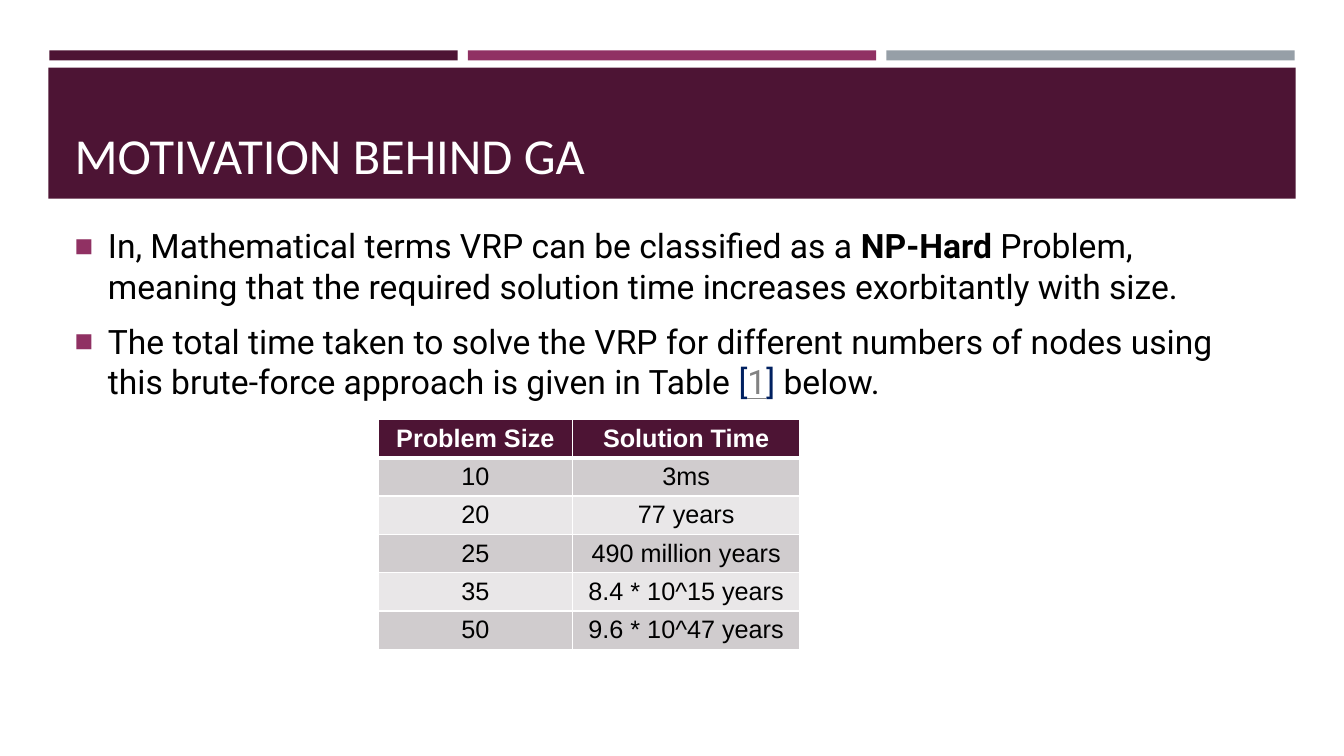
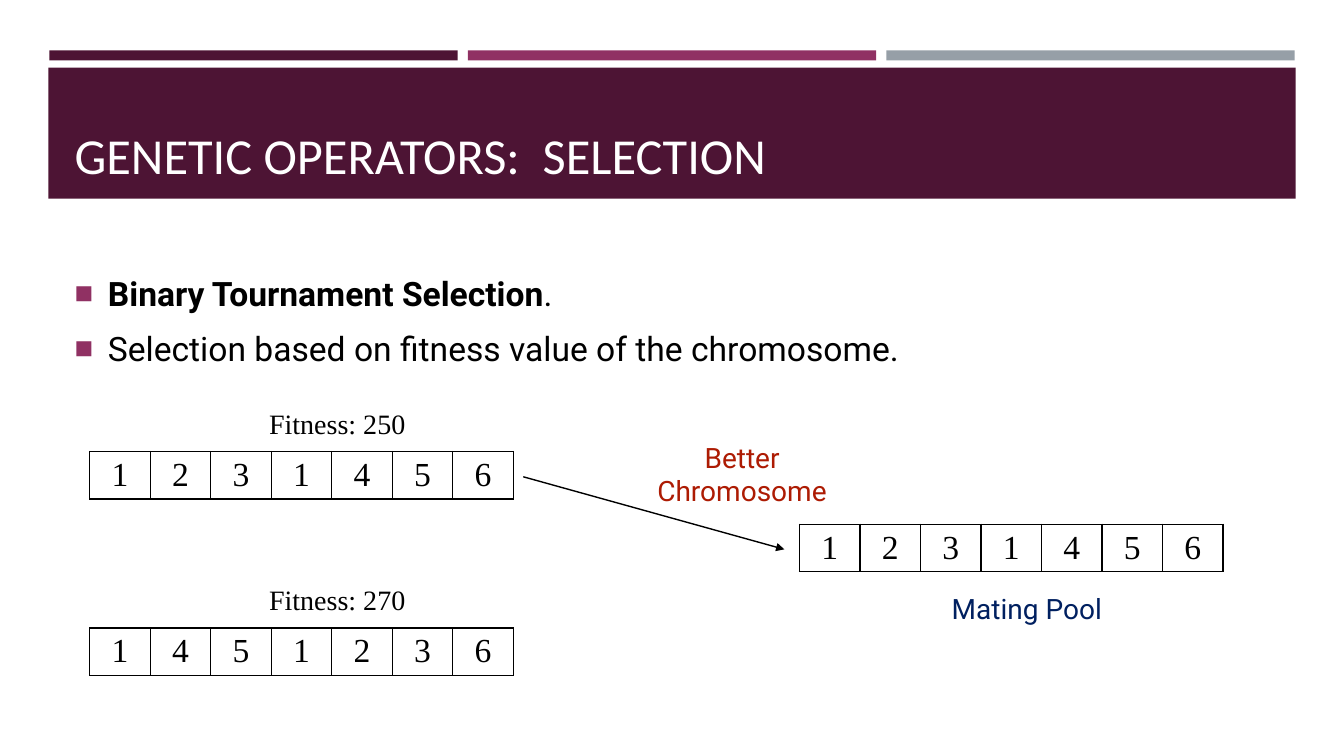
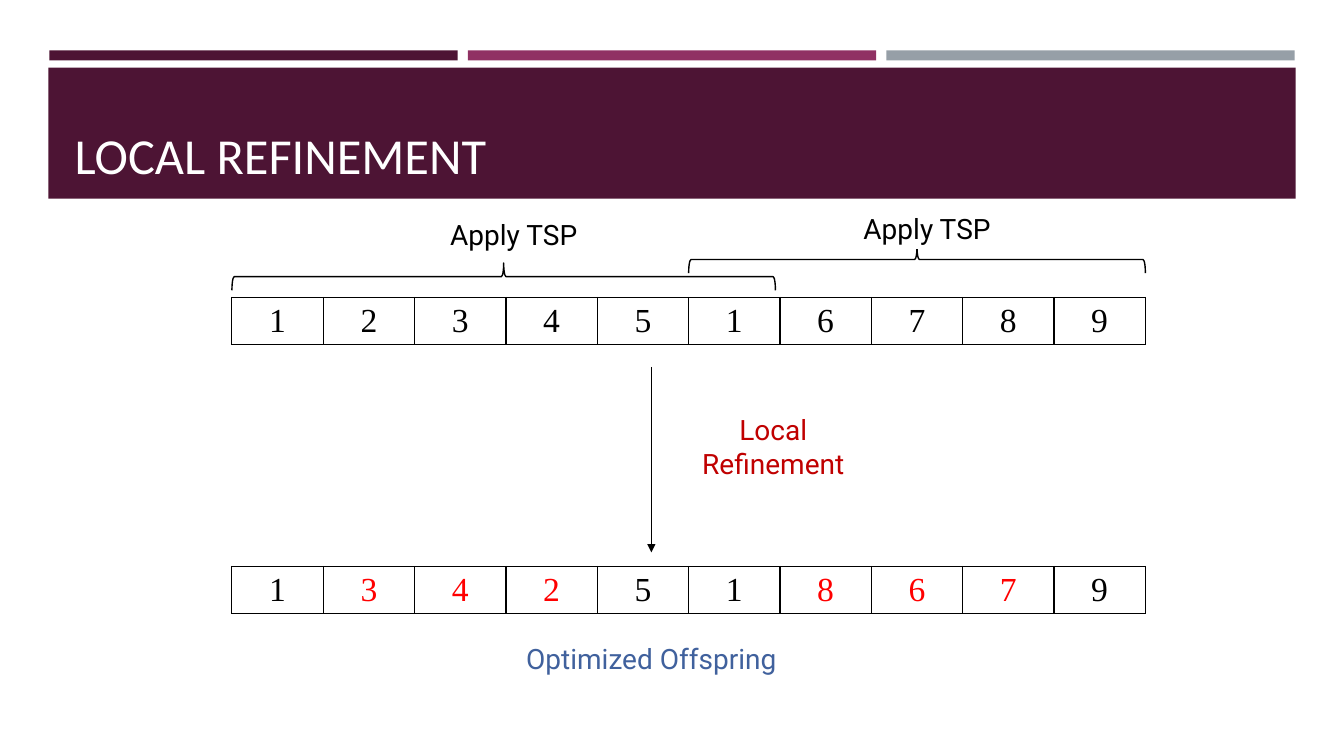
from dataclasses import dataclass
from typing import Optional, Sequence

from lxml import etree
from pptx import Presentation
from pptx import util as u
from pptx.dml.color import RGBColor
from pptx.enum import shapes, text
from pptx.oxml import ns

PLUM, MAGENTA, GREY = "4D1434", "903163", "969FA7"
BLACK, WHITE, NAVY, RED = "000000", "FFFFFF", "002060", "FF0000"
HEADING, BODY, TABLE, GENE = "Calibri", "Roboto", "Arial", "Times New Roman"

MARGIN, CONTENT_WIDTH = 0.64, 12.06
BAR_LEFT, BAR_WIDTH, BAR_GAP = 0.49, 4.05, 0.1
GENE_HEIGHT = 0.47
BRACE_DEPTH = 0.27
TITLE_AND_BODY, TITLE_ONLY = 1, 5


@dataclass(frozen=True)
class Box:
    left: float
    top: float
    width: float
    height: float

    def emu(self) -> tuple:
        return tuple(u.Inches(v) for v in (self.left, self.top, self.width, self.height))


@dataclass(frozen=True)
class Piece:
    """A stretch of text inside a bullet."""
    words: str
    bold: Optional[bool] = None
    color: Optional[str] = None
    underline: Optional[bool] = None


@dataclass(frozen=True)
class Label:
    words: str
    box: Box
    color: str = BLACK
    font: str = BODY


@dataclass(frozen=True)
class Chromosome:
    genes: str
    left: float
    top: float
    gene_width: float
    parent: str = ""

    def gene_color(self, place: int) -> str:
        """Red marks a gene that differs from the parent's."""
        changed = self.parent and self.parent[place] != self.genes[place]
        return RED if changed else BLACK


def rgb(color: str) -> RGBColor:
    return RGBColor.from_string(color)


def add_xml(parent, tag: str, **attributes: str):
    return etree.SubElement(parent, ns.qn(tag), attributes)


def style(font, name: str, size: float, color: str, bold: Optional[bool] = None) -> None:
    font.name, font.size, font.bold = name, u.Pt(size), bold
    font.color.rgb = rgb(color)


def add_band(slide, box: Box, color: str):
    band = slide.shapes.add_shape(shapes.MSO_SHAPE.RECTANGLE, *box.emu())
    band.shadow.inherit = False
    band.fill.solid()
    band.fill.fore_color.rgb = rgb(color)
    band.line.fill.background()
    return band


def decorate_master(prs, slide) -> None:
    """Draw the bands on a slide, then move them behind everything on the master."""
    bands = [add_band(slide, Box(BAR_LEFT + i * (BAR_WIDTH + BAR_GAP), 0.5, BAR_WIDTH, 0.1), color)
             for i, color in enumerate((PLUM, MAGENTA, GREY))]
    bands.append(add_band(slide, Box(0.48, 0.67, 12.37, 1.3), PLUM))
    tree = prs.slide_master.shapes._spTree
    for i, band in enumerate(bands):
        band._element.nvSpPr.cNvPr.id = 100 + i
        tree.insert(2 + i, band._element)


def new_slide(prs, layout: int, heading: str):
    slide = prs.slides.add_slide(prs.slide_layouts[layout])
    title = slide.shapes.title
    title.left, title.top, title.width, title.height = Box(MARGIN, 0.77, CONTENT_WIDTH, 1.11).emu()
    frame = title.text_frame
    frame.text = heading
    frame.auto_size = text.MSO_AUTO_SIZE.NONE
    frame.vertical_anchor = text.MSO_ANCHOR.BOTTOM
    line = frame.paragraphs[0]
    line.alignment = text.PP_ALIGN.LEFT
    style(line.font, HEADING, 36, WHITE)
    return slide


def add_square_bullet(paragraph) -> None:
    props = paragraph._p.get_or_add_pPr()
    indent = u.Inches(0.33)
    props.set("marL", str(indent))
    props.set("indent", str(-indent))
    add_xml(add_xml(props, "a:buClr"), "a:srgbClr", val=MAGENTA)
    add_xml(props, "a:buSzPct", val="92000")
    add_xml(props, "a:buFont", typeface=TABLE)
    add_xml(props, "a:buChar", char="■")


def fill_body(slide, top: float, height: float, bullets: Sequence[Sequence[Piece]]) -> None:
    body = slide.placeholders[1]
    body.left, body.top, body.width, body.height = Box(MARGIN, top, CONTENT_WIDTH, height).emu()
    frame = body.text_frame
    frame.auto_size = text.MSO_AUTO_SIZE.NONE
    frame.vertical_anchor = text.MSO_ANCHOR.MIDDLE
    for i, pieces in enumerate(bullets):
        paragraph = frame.add_paragraph() if i else frame.paragraphs[0]
        paragraph.space_after = u.Pt(6)
        add_square_bullet(paragraph)
        style(paragraph.font, BODY, 24, BLACK)
        for piece in pieces:
            run = paragraph.add_run()
            run.text = piece.words
            run.font.bold, run.font.underline = piece.bold, piece.underline
            if piece.color:
                run.font.color.rgb = rgb(piece.color)


def set_borders(cell, color: str, bottom: float = 1) -> None:
    props = cell._tc.get_or_add_tcPr()
    for side in "LRTB":
        width = u.Pt(bottom if side == "B" else 1)
        border = add_xml(props, f"a:ln{side}", w=str(width))
        add_xml(add_xml(border, "a:solidFill"), "a:srgbClr", val=color)


def add_grid(slide, left: float, top: float, widths: Sequence[float], row_height: float, rows: int):
    """A table without the style's header and bands."""
    box = Box(left, top, sum(widths), rows * row_height)
    grid = slide.shapes.add_table(rows, len(widths), *box.emu()).table
    grid.first_row = grid.horz_banding = False
    for column, width in zip(grid.columns, widths):
        column.width = u.Inches(width)
    return grid


def write_cell(cell, words: str, font: str, size: float, color: str, bold: bool = False) -> None:
    cell.text = words
    line = cell.text_frame.paragraphs[0]
    line.alignment = text.PP_ALIGN.CENTER
    style(line.font, font, size, color, bold)


def add_solution_times(slide, rows: Sequence[Sequence[str]]) -> None:
    grid = add_grid(slide, 3.75, 4.16, (1.93, 2.25), 0.38, len(rows))
    for r, row in enumerate(rows):
        header = r == 0
        fill = PLUM if header else ("E9E7E8", "D0CCCE")[r % 2]
        for c, words in enumerate(row):
            cell = grid.cell(r, c)
            write_cell(cell, words, TABLE, 18, WHITE if header else BLACK, header)
            set_borders(cell, WHITE, bottom=3 if header else 1)
            cell.fill.solid()
            cell.fill.fore_color.rgb = rgb(fill)


def add_chromosome(slide, item: Chromosome) -> None:
    widths = [item.gene_width] * len(item.genes)
    grid = add_grid(slide, item.left, item.top, widths, GENE_HEIGHT, 1)
    for place, gene in enumerate(item.genes):
        cell = grid.cell(0, place)
        write_cell(cell, gene, GENE, 24, item.gene_color(place))
        set_borders(cell, BLACK)
        cell.fill.background()


def add_label(slide, label: Label) -> None:
    plate = add_band(slide, label.box, WHITE)
    frame = plate.text_frame
    frame.word_wrap = True
    frame.vertical_anchor = text.MSO_ANCHOR.MIDDLE
    frame.text = label.words
    line = frame.paragraphs[0]
    line.alignment = text.PP_ALIGN.CENTER
    style(line.font, label.font, 20, label.color)


def add_arrow(slide, x1: float, y1: float, x2: float, y2: float) -> None:
    ends = (u.Inches(v) for v in (x1, y1, x2, y2))
    arrow = slide.shapes.add_connector(shapes.MSO_CONNECTOR.STRAIGHT, *ends)
    arrow.line.color.rgb = rgb(BLACK)
    arrow.line.width = u.Pt(1)
    add_xml(arrow.line._get_or_add_ln(), "a:tailEnd", type="triangle")
    add_xml(arrow._element.spPr, "a:effectLst")


def add_brace(slide, left: float, top: float, span: float) -> None:
    """A left brace turned to lie above the genes it spans."""
    upright = Box(left + (span - BRACE_DEPTH) / 2, top + (BRACE_DEPTH - span) / 2, BRACE_DEPTH, span)
    brace = slide.shapes.add_shape(shapes.MSO_SHAPE.LEFT_BRACE, *upright.emu())
    brace.rotation = 90
    brace.shadow.inherit = False
    brace.fill.background()
    brace.line.color.rgb = rgb(BLACK)
    brace.line.width = u.Pt(1)


def build_motivation(prs) -> None:
    slide = new_slide(prs, TITLE_AND_BODY, "MOTIVATION BEHIND GA")
    decorate_master(prs, slide)
    fill_body(slide, 2.2, 1.82, (
        (Piece("In, Mathematical terms VRP can be classified as a "), Piece("NP-Hard", bold=True),
         Piece(" Problem, meaning that the required solution time increases exorbitantly with size.")),
        (Piece("The total time taken to solve the VRP for different numbers of nodes using "
               "this brute-force approach is given in Table "),
         Piece("[", color=NAVY), Piece("1", color="828282", underline=True),
         Piece("]", color=NAVY), Piece(" below.")),
    ))
    add_solution_times(slide, (
        ("Problem Size", "Solution Time"),
        ("10", "3ms"),
        ("20", "77 years"),
        ("25", "490 million years"),
        ("35", "8.4 * 10^15 years"),
        ("50", "9.6 * 10^47 years"),
    ))


def build_selection(prs) -> None:
    slide = new_slide(prs, TITLE_AND_BODY, "GENETIC OPERATORS:  SELECTION")
    fill_body(slide, 2.38, 1.6, (
        (Piece("Binary Tournament Selection", bold=True), Piece(".")),
        (Piece("Selection based on fitness value of the chromosome."),),
    ))
    gene_width, left = 0.6, 0.89
    winner = "1231456"
    for genes, fitness, top in ((winner, 250, 4.48), ("1451236", 270, 6.23)):
        add_chromosome(slide, Chromosome(genes, left, top, gene_width))
        add_label(slide, Label(f"Fitness: {fitness}", Box(2.19, top - 0.53, 2.31, 0.5), font=GENE))
    add_chromosome(slide, Chromosome(winner, 7.93, 5.2, gene_width))
    add_arrow(slide, 5.19, 4.73, 7.78, 5.45)
    add_label(slide, Label("Better Chromosome", Box(6.07, 4.45, 2.58, 0.5), "AD1B03"))
    add_label(slide, Label("Mating Pool", Box(9.03, 5.78, 2.31, 0.5), NAVY))


def build_refinement(prs) -> None:
    slide = new_slide(prs, TITLE_ONLY, "LOCAL REFINEMENT")
    left, gene_width = 2.3, 0.906
    parent = "1234516789"
    add_chromosome(slide, Chromosome(parent, left, 2.95, gene_width))
    add_chromosome(slide, Chromosome("1342518679", left, 5.62, gene_width, parent))
    for first_gene, genes, brace_top, label_top in ((0, 5.95, 2.61, 2.12), (5, 5, 2.44, 2.06)):
        start, span = left + first_gene * gene_width, genes * gene_width
        add_brace(slide, start, brace_top, span)
        label_width = 3.9
        middle = start + span / 2 + 0.1
        add_label(slide, Label("Apply TSP", Box(middle - label_width / 2, label_top, label_width, 0.41)))
    add_arrow(slide, 6.46, 3.64, 6.46, 5.48)
    add_label(slide, Label("Local Refinement", Box(6.58, 4.15, 2.18, 0.56), "C00000"))
    add_label(slide, Label("Optimized Offspring", Box(5.07, 6.33, 2.78, 0.4), "40619D"))


def main() -> None:
    prs = Presentation()
    prs.slide_width, prs.slide_height = u.Inches(13.33), u.Inches(7.5)
    build_motivation(prs)
    build_selection(prs)
    build_refinement(prs)
    prs.save("out.pptx")


if __name__ == "__main__":
    main()
